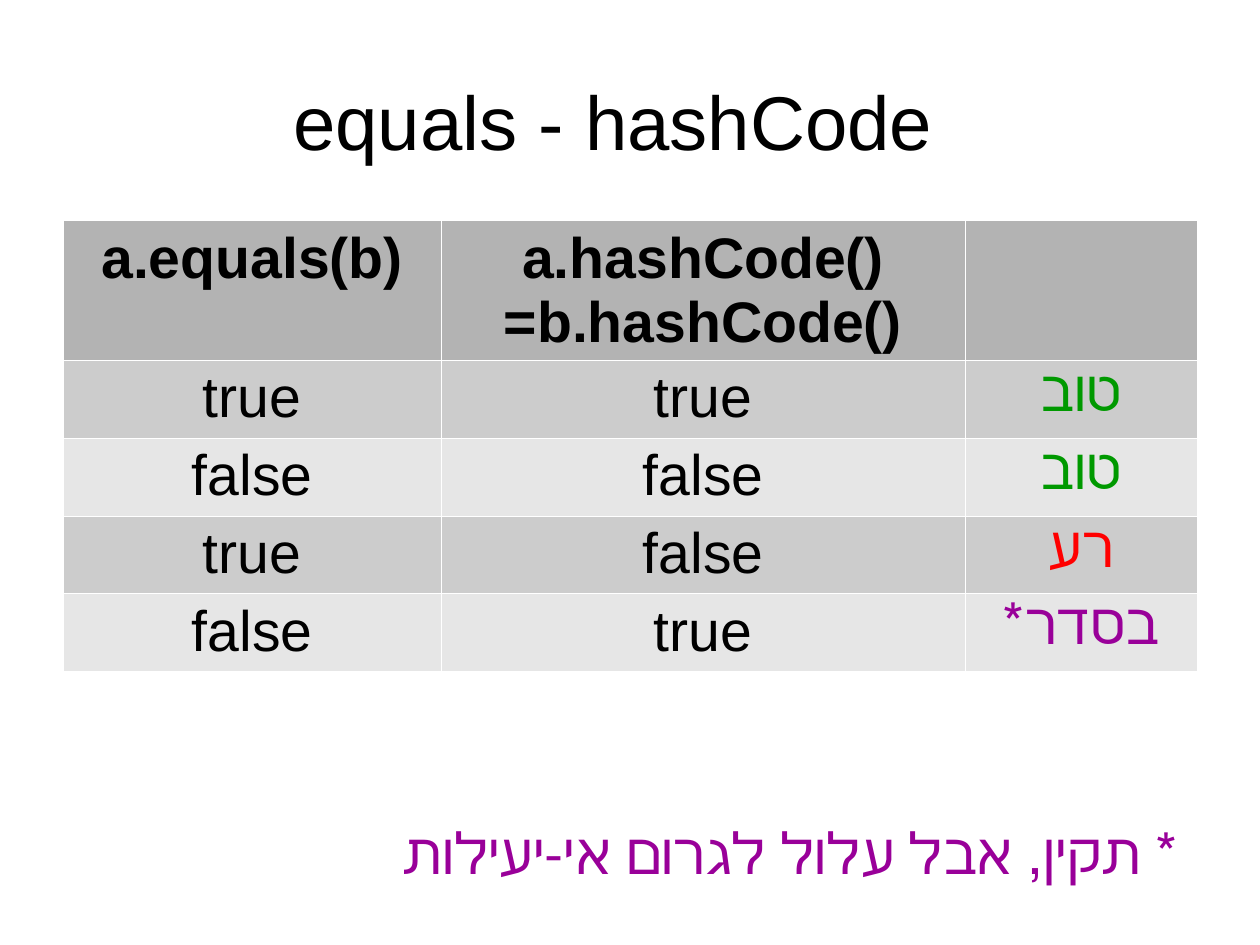
import dataclasses

import lxml.etree
import pptx
import pptx.dml.color
import pptx.enum.text
import pptx.oxml.ns
import pptx.util

Cm = pptx.util.Cm
Pt = pptx.util.Pt
Align = pptx.enum.text.PP_ALIGN

FONT = "Arial"
BLACK = "000000"
GREEN = "009900"
RED = "FF0000"
PURPLE = "990099"
HEADER_FILL = "B3B3B3"
ROW_FILLS = ("CCCCCC", "E6E6E6")
COLUMN_WIDTHS = (8.41, 11.63, 5.16)
HEADER_HEIGHT = 3.1
ROW_HEIGHT = 1.73


@dataclasses.dataclass
class Case:
    equal: str
    same_hash: str
    verdict: str
    verdict_color: str


HEADINGS = ("a.equals(b)", "a.hashCode()\v=b.hashCode()", "")
CASES = (
    Case("true", "true", "טוב", GREEN),
    Case("false", "false", "טוב", GREEN),
    Case("true", "false", "רע", RED),
    Case("false", "true", "בסדר*", PURPLE),
)


def rgb(color: str) -> pptx.dml.color.RGBColor:
    return pptx.dml.color.RGBColor.from_string(color)


def write(frame, text: str, color: str = BLACK, size: int = 36,
          bold: bool = False, align: Align = Align.CENTER, rtl: bool = False) -> None:
    para = frame.paragraphs[0]
    para.text = text
    para.alignment = align
    if rtl:
        para._p.get_or_add_pPr().set("rtl", "1")
    for span in para.runs:
        span.font.name = FONT
        span.font.size = Pt(size)
        span.font.bold = bold
        span.font.color.rgb = rgb(color)


def format_cell(cell, fill: str) -> None:
    properties = cell._tc.get_or_add_tcPr()
    qualified = pptx.oxml.ns.qn
    for side in ("a:lnL", "a:lnR", "a:lnT", "a:lnB"):
        line = lxml.etree.SubElement(properties, qualified(side), w="762")
        solid = lxml.etree.SubElement(line, qualified("a:solidFill"))
        lxml.etree.SubElement(solid, qualified("a:srgbClr"), val="FFFFFF")
    cell.fill.solid()
    cell.fill.fore_color.rgb = rgb(fill)


def add_title(page) -> None:
    title = page.shapes.title
    title.left, title.top = Cm(1.07), Cm(0.76)
    title.width, title.height = Cm(25.1), Cm(3.81)
    frame = title.text_frame
    frame.margin_left = frame.margin_right = frame.margin_top = frame.margin_bottom = 0
    frame.vertical_anchor = pptx.enum.text.MSO_ANCHOR.MIDDLE
    frame.auto_size = pptx.enum.text.MSO_AUTO_SIZE.NONE
    frame.word_wrap = True
    write(frame, "equals - hashCode", size=48, rtl=True)


def add_cases(page) -> None:
    heights = [HEADER_HEIGHT] + [ROW_HEIGHT] * len(CASES)
    table = page.shapes.add_table(
        len(heights), len(COLUMN_WIDTHS), Cm(1.4), Cm(4.9),
        Cm(sum(COLUMN_WIDTHS)), Cm(sum(heights))).table
    table.first_row = table.horz_banding = False
    for column, width in zip(table.columns, COLUMN_WIDTHS):
        column.width = Cm(width)
    for row, height in zip(table.rows, heights):
        row.height = Cm(height)

    for cell, heading in zip(table.rows[0].cells, HEADINGS):
        format_cell(cell, HEADER_FILL)
        write(cell.text_frame, heading, bold=True)
    for index, case in enumerate(CASES):
        equal, same_hash, verdict = table.rows[index + 1].cells
        for cell in (equal, same_hash, verdict):
            format_cell(cell, ROW_FILLS[index % 2])
        write(equal.text_frame, case.equal)
        write(same_hash.text_frame, case.same_hash)
        write(verdict.text_frame, case.verdict, case.verdict_color, rtl=True)


def add_footnote(page) -> None:
    box = page.shapes.add_textbox(Cm(2.29), Cm(18.03), Cm(24.13), Cm(1.73))
    frame = box.text_frame
    frame.word_wrap = True
    frame.auto_size = pptx.enum.text.MSO_AUTO_SIZE.SHAPE_TO_FIT_TEXT
    write(frame, "* תקין, אבל עלול לגרום אי-יעילות", PURPLE,
          align=Align.RIGHT, rtl=True)


def main() -> None:
    deck = pptx.Presentation()
    deck.slide_width, deck.slide_height = Cm(28), Cm(21)
    page = deck.slides.add_slide(deck.slide_layouts.get_by_name("Title Only"))
    add_title(page)
    add_cases(page)
    add_footnote(page)
    deck.save("out.pptx")


if __name__ == "__main__":
    main()
